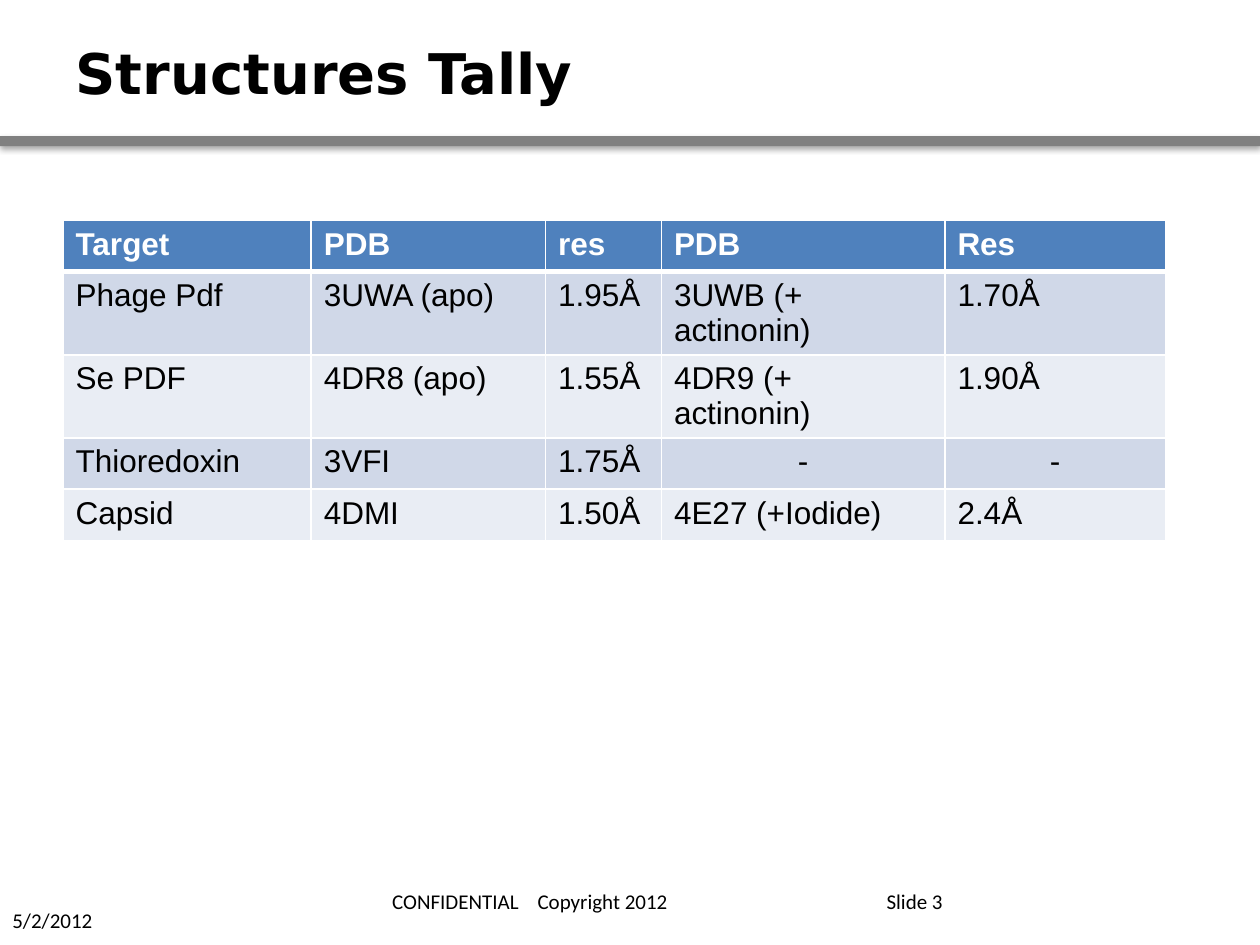
from lxml import etree
from pptx import Presentation
from pptx.dml.color import RGBColor
from pptx.enum.shapes import MSO_SHAPE
from pptx.enum.text import MSO_ANCHOR, PP_ALIGN
from pptx.oxml.ns import qn
from pptx.util import Inches, Pt

RECT = MSO_SHAPE.RECTANGLE
MIDDLE = MSO_ANCHOR.MIDDLE
LEFT, CENTER, RIGHT = PP_ALIGN.LEFT, PP_ALIGN.CENTER, PP_ALIGN.RIGHT

COLORS = {"ink": "000000", "white": "FFFFFF", "bar": "808080",
          "head": "4F81BD", "odd": "D0D8E8", "even": "E9EDF4"}
WIDTHS = (1.97, 1.86, 0.92, 2.25, 1.75)
ROWS = (
    ("Target", "PDB", "res", "PDB", "Res"),
    ("Phage Pdf", "3UWA (apo)", "1.95Å", "3UWB (+ actinonin)", "1.70Å"),
    ("Se PDF", "4DR8 (apo)", "1.55Å", "4DR9 (+ actinonin)", "1.90Å"),
    ("Thioredoxin", "3VFI", "1.75Å", "-", "-"),
    ("Capsid", "4DMI", "1.50Å", "4E27 (+Iodide)", "2.4Å"),
)


def color(name):
    """Return the named colour."""
    return RGBColor.from_string(COLORS[name])


def add_run(para, text, font, size, ink="ink", bold=False):
    """Add one formatted run to a paragraph."""
    run = para.add_run()
    run.text = text
    run.font.name = font
    run.font.size = Pt(size)
    run.font.bold = bold
    run.font.color.rgb = color(ink)
    return run


def add_node(parent, tag, **attrs):
    """Add one XML element to a parent."""
    return etree.SubElement(parent, qn(tag), attrs)


def add_title(slide, box, text):
    """Place and format the slide title."""
    title = slide.shapes.title
    title.left, title.top, title.width, title.height = map(Inches, box)
    title.text_frame.vertical_anchor = MIDDLE
    para = title.text_frame.paragraphs[0]
    para.alignment = LEFT
    add_run(para, text, "DejaVu Sans", 32, bold=True)


def add_bar(slide, box):
    """Draw the grey rule with its soft shadow."""
    bar = slide.shapes.add_shape(RECT, *map(Inches, box))
    bar.fill.solid()
    bar.fill.fore_color.rgb = color("bar")
    bar.line.fill.background()
    bar.shadow.inherit = False
    effects = bar.element.spPr.find(qn("a:effectLst"))
    shade = add_node(effects, "a:outerShdw", blurRad=str(Pt(3.1)),
                     dist=str(Pt(1.8)), dir="5400000", rotWithShape="0")
    tint = add_node(shade, "a:srgbClr", val=COLORS["ink"])
    add_node(tint, "a:alpha", val="35000")


def add_borders(cell, row):
    """Edge a cell in white, thicker under the header."""
    props = cell._tc.get_or_add_tcPr()
    thick = {(0, "B"), (1, "T")}
    for side in "LRTB":
        width = Pt(3 if (row, side) in thick else 1)
        line = add_node(props, f"a:ln{side}", w=str(width))
        fill = add_node(line, "a:solidFill")
        add_node(fill, "a:srgbClr", val=COLORS["white"])


def add_tally(slide, box):
    """Build the table of structures."""
    frame = slide.shapes.add_table(len(ROWS), len(WIDTHS), *map(Inches, box))
    table = frame.table
    for col, width in zip(table.columns, WIDTHS):
        col.width = Inches(width)
    for i, row in enumerate(ROWS):
        head = i == 0
        band = "head" if head else "odd" if i % 2 else "even"
        table.rows[i].height = Inches(box[3] / len(ROWS))
        for j, text in enumerate(row):
            cell = table.cell(i, j)
            add_borders(cell, i)
            cell.fill.solid()
            cell.fill.fore_color.rgb = color(band)
            para = cell.text_frame.paragraphs[0]
            para.alignment = CENTER if text == "-" else LEFT
            add_run(para, text, "Arial", 18, "white" if head else "ink", head)


def add_note(slide, box, words, align, gap=0):
    """Add a footer line, its words set apart by a widened space."""
    frame = slide.shapes.add_textbox(*map(Inches, box)).text_frame
    frame.word_wrap = True
    frame.vertical_anchor = MIDDLE
    para = frame.paragraphs[0]
    para.alignment = align
    for i, word in enumerate(words):
        if i:
            space = add_run(para, " ", "Calibri", 12)
            space.font._element.set("spc", str(gap * 100))
        add_run(para, word, "Calibri", 12)


def add_footer(slide):
    """Place the slide number, notice and date."""
    add_note(slide, (6, 6.95, 1.58, 0.4), ["Slide 3"], RIGHT)
    add_note(slide, (2.83, 6.95, 2.75, 0.4),
             ["CONFIDENTIAL", "Copyright 2012"], CENTER, 8)
    add_note(slide, (0, 7.1, 1.67, 0.4), ["5/2/2012"], LEFT)


def main():
    """Build and save the slide."""
    deck = Presentation()
    deck.slide_width, deck.slide_height = Inches(10), Inches(7.5)
    slide = deck.slides.add_slide(deck.slide_layouts[5])
    add_bar(slide, (0, 1.08, 10, 0.08))
    add_title(slide, (0.5, 0.17, 9, 0.8), "Structures Tally")
    add_tally(slide, (0.5, 1.75, 8.75, 2.03))
    add_footer(slide)
    deck.save("out.pptx")


if __name__ == "__main__":
    main()
